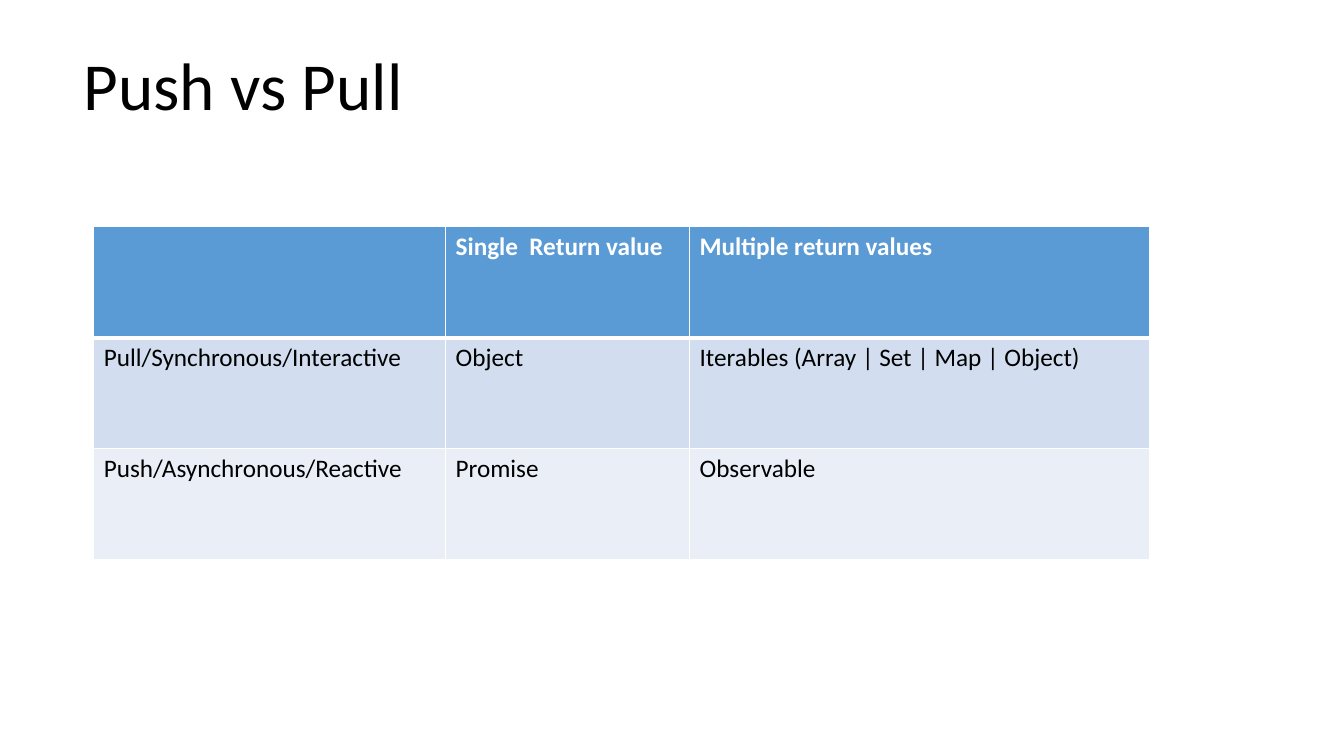
import pptx
import pptx.dml.color
import pptx.enum.text
import pptx.oxml
import pptx.oxml.ns
import pptx.util
from pptx.util import Inches

FONT = "Calibri"
BLACK, WHITE, HEADER_BLUE = "000000", "FFFFFF", "5B9BD5"
BAND_FILLS = ["D2DEEF", "EAEFF7"]
COLUMN_WIDTHS = [3.49, 2.42, 4.56]
ROW_HEIGHT = 1.1
ROWS = [
    ["", "Single  Return value", "Multiple return values"],
    ["Pull/Synchronous/Interactive", "Object", "Iterables (Array | Set | Map | Object)"],
    ["Push/Asynchronous/Reactive", "Promise", "Observable"],
]


def set_color(target, color):
    target.rgb = pptx.dml.color.RGBColor.from_string(color)


def write_text(frame, text, size=18, color=BLACK, bold=False):
    para = frame.paragraphs[0]
    para.alignment = pptx.enum.text.PP_ALIGN.LEFT
    if not text:
        para.font.size = pptx.util.Pt(size)
        return
    span = para.add_run()
    span.text = text
    span.font.name = FONT
    span.font.size = pptx.util.Pt(size)
    span.font.bold = bold
    set_color(span.font.color, color)


def set_borders(cell, widths):
    """Draw white borders; widths maps each side to points, in schema order."""
    properties = cell._tc.get_or_add_tcPr()
    for side, width in widths.items():
        properties.append(pptx.oxml.parse_xml(
            f'<a:ln{side} {pptx.oxml.ns.nsdecls("a")} w="{pptx.util.Pt(width)}">'
            f'<a:solidFill><a:srgbClr val="{WHITE}"/></a:solidFill></a:ln{side}>'))


def add_title(page, text, left, top, width, height):
    title = page.shapes.title
    title.left, title.top = Inches(left), Inches(top)
    title.width, title.height = Inches(width), Inches(height)
    frame = title.text_frame
    frame.word_wrap = True
    frame.vertical_anchor = pptx.enum.text.MSO_ANCHOR.TOP
    write_text(frame, text, size=48)


def add_comparison(page, left, top):
    table = page.shapes.add_table(
        len(ROWS), len(COLUMN_WIDTHS), Inches(left), Inches(top),
        Inches(sum(COLUMN_WIDTHS)), Inches(ROW_HEIGHT * len(ROWS))).table
    for column, width in zip(table.columns, COLUMN_WIDTHS):
        column.width = Inches(width)
    for index, values in enumerate(ROWS):
        table.rows[index].height = Inches(ROW_HEIGHT)
        header = index == 0
        fill = HEADER_BLUE if header else BAND_FILLS[(index - 1) % 2]
        # A heavier rule separates the header from the body
        borders = {"L": 1, "R": 1, "T": 3 if index == 1 else 1, "B": 3 if header else 1}
        for column, text in enumerate(values):
            cell = table.cell(index, column)
            set_borders(cell, borders)
            cell.fill.solid()
            set_color(cell.fill.fore_color, fill)
            write_text(cell.text_frame, text, color=WHITE if header else BLACK, bold=header)


def main():
    deck = pptx.Presentation()
    deck.slide_width, deck.slide_height = Inches(13.33), Inches(7.5)
    page = deck.slides.add_slide(deck.slide_layouts[5])
    # Title
    add_title(page, "Push vs Pull", 0.73, 0.38, 11, 0.91)
    # Comparison table
    add_comparison(page, 0.93, 2.25)
    deck.save("out.pptx")


if __name__ == "__main__":
    main()
